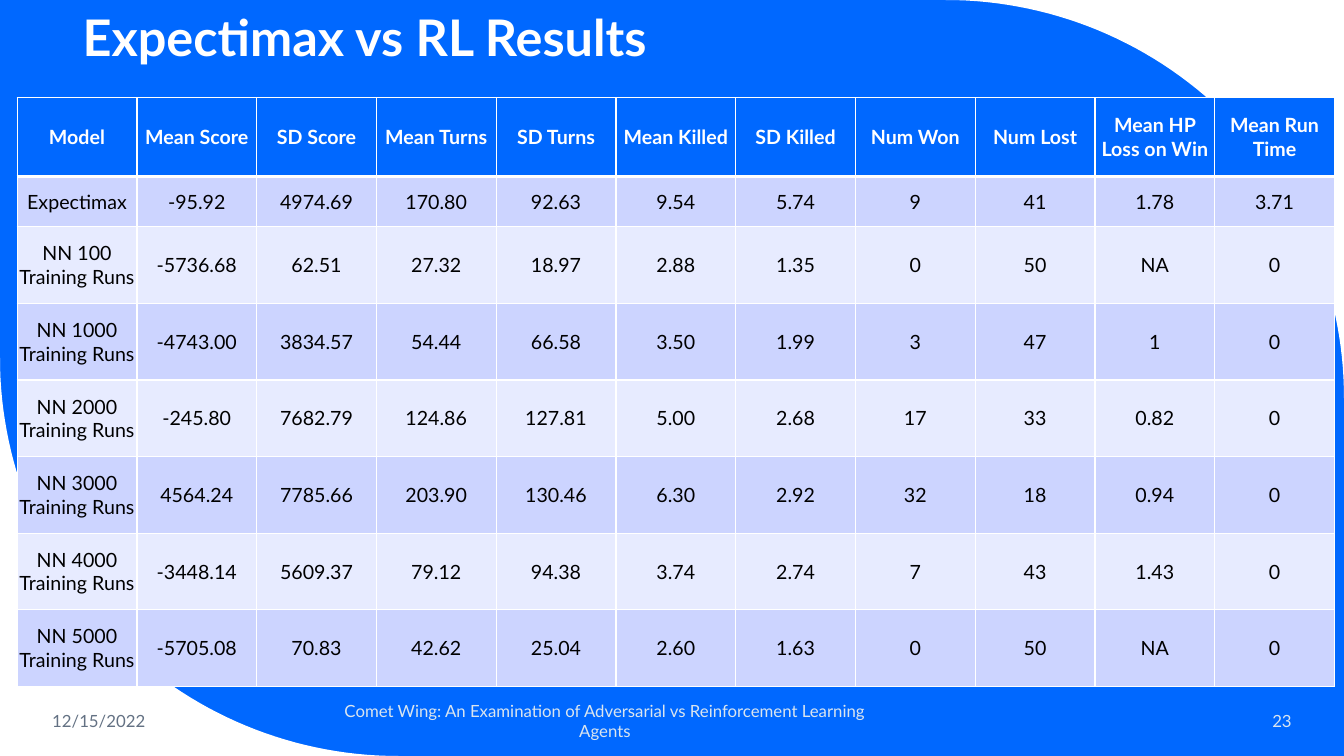
from math import cos, pi, sin
from lxml.etree import fromstring
from pptx import Presentation
from pptx.dml.color import RGBColor
from pptx.enum.text import MSO_ANCHOR, PP_ALIGN
from pptx.util import Inches, Pt

FONT = "Lato"
BLUE, WHITE, BLACK = "0068FF", "FFFFFF", "000000"
BANDS = ["E7EBFF", "CCD4FF"]
TITLE = "Expectimax vs RL Results"
FOOT = "Comet Wing: An Examination of Adversarial vs Reinforcement Learning Agents"
HEAD = ["Model", "Mean Score", "SD Score", "Mean Turns", "SD Turns", "Mean Killed",
        "SD Killed", "Num Won", "Num Lost", "Mean HP Loss on Win", "Mean Run Time"]
ROWS = [
    ["Expectimax", "-95.92", "4974.69", "170.80", "92.63", "9.54", "5.74", "9", "41", "1.78", "3.71"],
    ["NN 100 Training Runs", "-5736.68", "62.51", "27.32", "18.97", "2.88", "1.35", "0", "50", "NA", "0"],
    ["NN 1000 Training Runs", "-4743.00", "3834.57", "54.44", "66.58", "3.50", "1.99", "3", "47", "1", "0"],
    ["NN 2000 Training Runs", "-245.80", "7682.79", "124.86", "127.81", "5.00", "2.68", "17", "33", "0.82", "0"],
    ["NN 3000 Training Runs", "4564.24", "7785.66", "203.90", "130.46", "6.30", "2.92", "32", "18", "0.94", "0"],
    ["NN 4000 Training Runs", "-3448.14", "5609.37", "79.12", "94.38", "3.74", "2.74", "7", "43", "1.43", "0"],
    ["NN 5000 Training Runs", "-5705.08", "70.83", "42.62", "25.04", "2.60", "1.63", "0", "50", "NA", "0"],
]
WIDE, HIGH = 13.33, 7.5
CURVE, STEPS = 3.95, 60
LEFT, TOP, SPAN = 0.17, 0.97, 13.07
TALL = [0.78, 0.5] + [0.76] * 6
BASE, LINE = 6.95, 0.4
TEXTS = [
    (TITLE, (0.72, 0, 10.69, 0.72), 36, WHITE, PP_ALIGN.LEFT, MSO_ANCHOR.BOTTOM),
    ("12/15/2022", (0.42, BASE, 1.86, LINE), 12, "637183", PP_ALIGN.LEFT, MSO_ANCHOR.MIDDLE),
    (FOOT, (3.08, BASE, 5.84, LINE), 12, "DAE5EF", PP_ALIGN.CENTER, MSO_ANCHOR.MIDDLE),
    ("23", (11.1, BASE, 1.81, LINE), 12, "DAE5EF", PP_ALIGN.RIGHT, MSO_ANCHOR.MIDDLE),
]
SPACE = "http://schemas.openxmlformats.org/drawingml/2006/main"


def paint(fill, color):
    fill.solid()
    fill.fore_color.rgb = RGBColor.from_string(color)


def style(frame, text, size, color, bold, align):
    frame.word_wrap = True
    para = frame.paragraphs[0]
    para.text = text
    para.alignment = align
    font = para.runs[0].font
    font.name, font.size, font.bold = FONT, Pt(size), bold
    paint(font.fill, color)
    return para


def corner(slide, flip):
    arc = [(WIDE - CURVE + CURVE * sin(a), CURVE - CURVE * cos(a))
           for a in (pi / 2 * i / STEPS for i in range(STEPS + 1))]
    spots = arc + [(WIDE, 0)]
    if flip:
        spots = [(WIDE - x, HIGH - y) for x, y in spots]
    spots = [(Inches(x), Inches(y)) for x, y in spots]
    pen = slide.shapes.build_freeform(*spots[0])
    pen.add_line_segments(spots[1:], close=True)
    shape = pen.convert_to_shape()
    shape.shadow.inherit = False
    paint(shape.fill, WHITE)
    shape.line.fill.background()


def edge(cell, sides):
    props = cell._tc.get_or_add_tcPr()
    for spot, (side, width) in enumerate(sides.items()):
        props.insert(spot, fromstring(
            f'<a:ln{side} xmlns:a="{SPACE}" w="{Pt(width)}"><a:solidFill>'
            f'<a:srgbClr val="{WHITE}"/></a:solidFill></a:ln{side}>'))


def results(slide):
    cells = [HEAD] + ROWS
    box = [Inches(v) for v in (LEFT, TOP, SPAN, sum(TALL))]
    table = slide.shapes.add_table(len(cells), len(HEAD), *box).table
    for col in table.columns:
        col.width = Inches(SPAN / len(HEAD))
    for r, row in enumerate(cells):
        table.rows[r].height = Inches(TALL[r])
        for c, text in enumerate(row):
            cell = table.cell(r, c)
            cell.margin_left = cell.margin_right = cell.margin_top = cell.margin_bottom = 0
            cell.vertical_anchor = MSO_ANCHOR.MIDDLE
            top = r == 0
            style(cell.text_frame, text, 14, WHITE if top else BLACK, top, PP_ALIGN.CENTER)
            paint(cell.fill, BLUE if top else BANDS[r % 2])
            edge(cell, {"L": 1, "R": 1, "T": 3 if r == 1 else 1, "B": 3 if top else 1})


def main():
    deck = Presentation()
    deck.slide_width, deck.slide_height = Inches(WIDE), Inches(HIGH)
    slide = deck.slides.add_slide(deck.slide_layouts[6])
    paint(slide.background.fill, BLUE)
    for flip in (False, True):
        corner(slide, flip)
    for text, box, size, color, align, anchor in TEXTS:
        frame = slide.shapes.add_textbox(*[Inches(v) for v in box]).text_frame
        frame.vertical_anchor = anchor
        para = style(frame, text, size, color, text == TITLE, align)
        if text == TITLE:
            para.line_spacing = 0.9
    results(slide)
    deck.save("out.pptx")


if __name__ == "__main__":
    main()
